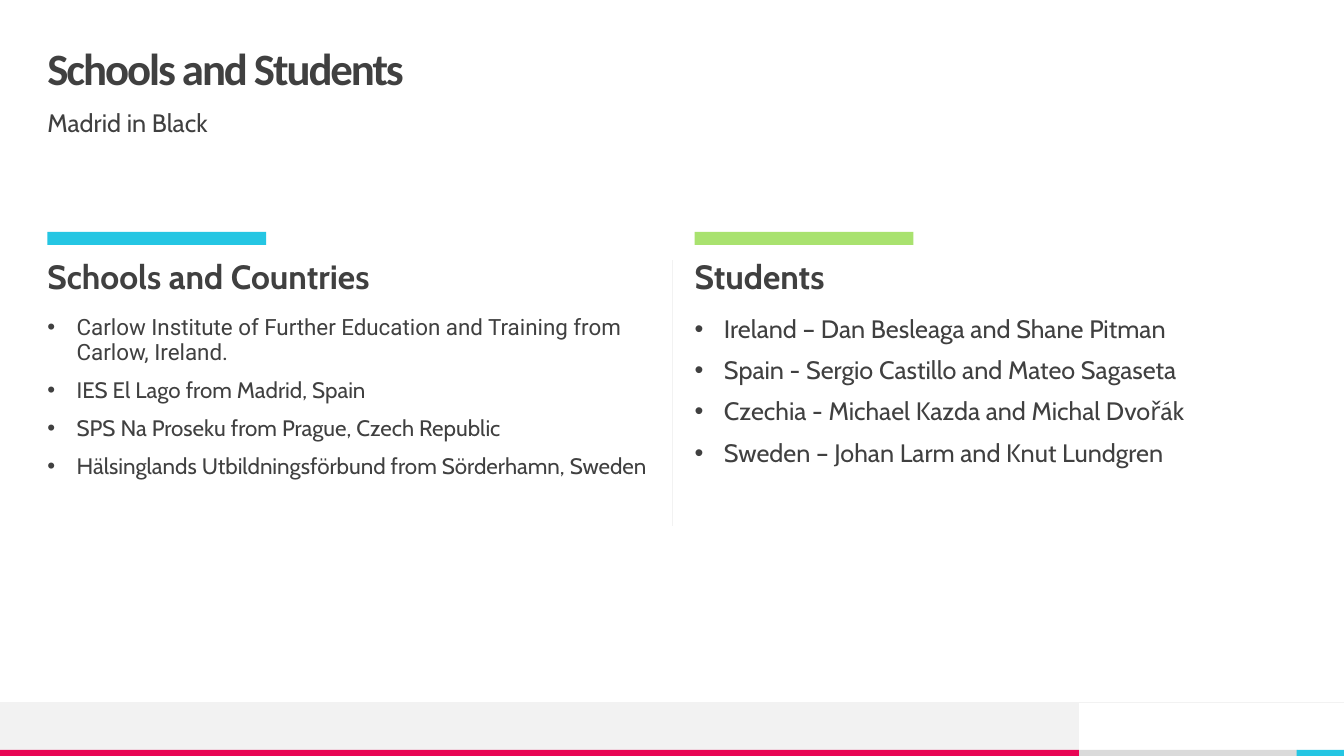
import pptx
import pptx.util
import pptx.dml.color
import pptx.enum.shapes
import pptx.enum.text
import pptx.oxml.ns
from lxml import etree

Inches = pptx.util.Inches
Pt = pptx.util.Pt
RGBColor = pptx.dml.color.RGBColor
qn = pptx.oxml.ns.qn

TEXT = RGBColor(0x40, 0x40, 0x40)
PALE = RGBColor(0xF2, 0xF2, 0xF2)
GREY = RGBColor(0xDA, 0xDA, 0xDA)
PINK = RGBColor(0xE8, 0x05, 0x54)
CYAN = RGBColor(0x25, 0xC6, 0xE3)
GREEN = RGBColor(0xA9, 0xE2, 0x6F)

TITLE = "Schools and Students"
SUBTITLE = "Madrid in Black"
COLUMNS = [
    {
        "heading": "Schools and Countries",
        "color": CYAN,
        "size": 16,
        "items": [
            ("Carlow Institute of Further Education and Training from Carlow, Ireland.", "Roboto"),
            ("IES El Lago from Madrid, Spain", "Cabin"),
            ("SPS Na Proseku from Prague, Czech Republic", "Cabin"),
            ("Hälsinglands Utbildningsförbund from Sörderhamn, Sweden", "Cabin"),
        ],
    },
    {
        "heading": "Students",
        "color": GREEN,
        "size": 18,
        "items": [
            ("Ireland – Dan Besleaga and Shane Pitman", "Cabin"),
            ("Spain - Sergio Castillo and Mateo Sagaseta", "Cabin"),
            ("Czechia - Michael Kazda and Michal Dvořák", "Cabin"),
            ("Sweden – Johan Larm and Knut Lundgren", "Cabin"),
        ],
    },
]

WIDTH, HEIGHT = 13.33, 7.5
MARGIN = 0.47
CONTENT_WIDTH = 12.4
COLUMN_WIDTH = 5.98
COLUMN_STEP = 6.42
FOOTER_TOP, STRIPE_TOP = 6.97, 7.44
FOOTER_BLOCKS = [
    (10.7, 2.17, STRIPE_TOP, HEIGHT, GREY),
    (0, 10.7, FOOTER_TOP, STRIPE_TOP, PALE),
    (0, 10.7, STRIPE_TOP, HEIGHT, PINK),
    (12.86, 0.47, STRIPE_TOP, HEIGHT, CYAN),
]


def add_block(slide, left, top, width, height, color):
    """Add a plain filled rectangle."""
    block = slide.shapes.add_shape(
        pptx.enum.shapes.MSO_SHAPE.RECTANGLE,
        Inches(left), Inches(top), Inches(width), Inches(height))
    block.shadow.inherit = False
    block.fill.solid()
    block.fill.fore_color.rgb = color
    block.line.fill.background()


def add_rule(slide, start, end):
    """Add a thin pale line between two points."""
    rule = slide.shapes.add_connector(
        pptx.enum.shapes.MSO_CONNECTOR.STRAIGHT,
        *(Inches(value) for value in start + end))
    rule.line.color.rgb = PALE
    rule.line.width = Pt(0.5)
    etree.SubElement(rule.element.spPr, qn("a:effectLst"))


def fill_box(box, area, lines, size, bold=False, before=10, bullets=False):
    """Place a text box and write its formatted lines."""
    box.left, box.top, box.width, box.height = (Inches(value) for value in area)
    frame = box.text_frame
    frame.text = "\n".join(text for text, font in lines)
    frame.word_wrap = True
    frame.auto_size = pptx.enum.text.MSO_AUTO_SIZE.NONE
    frame.vertical_anchor = pptx.enum.text.MSO_ANCHOR.TOP
    frame.margin_left = frame.margin_top = frame.margin_right = frame.margin_bottom = 0
    for para, (text, font) in zip(frame.paragraphs, lines):
        para.alignment = pptx.enum.text.PP_ALIGN.LEFT
        para.line_spacing = 0.9
        para.space_before = Pt(before)
        if bullets:
            properties = para._p.get_or_add_pPr()
            properties.set("marL", str(Inches(0.29)))
            properties.set("indent", str(-Inches(0.29)))
            etree.SubElement(properties, qn("a:buFont")).set("typeface", "Arial")
            etree.SubElement(properties, qn("a:buChar")).set("char", "•")
        for span in para.runs:
            span.font.name = font
            span.font.size = Pt(size)
            span.font.bold = bold
            span.font.color.rgb = TEXT


def main():
    """Build the slide and save it."""
    deck = pptx.Presentation()
    deck.slide_width, deck.slide_height = Inches(WIDTH), Inches(HEIGHT)
    page = deck.slides.add_slide(deck.slide_layouts.get_by_name("Comparison"))
    holders = page.placeholders

    for left, width, top, bottom, color in FOOTER_BLOCKS:
        add_block(page, left, top, width, bottom - top, color)
    add_rule(page, (WIDTH, FOOTER_TOP), (0, FOOTER_TOP))

    title = page.shapes.title
    fill_box(title, (MARGIN, 0.47, CONTENT_WIDTH, 0.47), [(TITLE, "Calibri")], 32, True, 0)
    title.text_frame.vertical_anchor = pptx.enum.text.MSO_ANCHOR.MIDDLE
    title.text_frame.paragraphs[0].runs[0].font._element.set("spc", "-150")

    subtitle = page.shapes.add_textbox(0, 0, 0, 0)
    fill_box(subtitle, (MARGIN, 1.1, CONTENT_WIDTH, 0.39), [(SUBTITLE, "Cabin")], 18)

    for index, column in enumerate(COLUMNS):
        left = MARGIN + index * COLUMN_STEP
        add_block(page, left, 2.3, 2.17, 0.13, column["color"])
        fill_box(holders[1 + 2 * index], (left, 2.58, COLUMN_WIDTH, 0.39),
                 [(column["heading"], "Cabin")], 24, True)
        fill_box(holders[2 + 2 * index], (left, 3.14, COLUMN_WIDTH, 3.69),
                 column["items"], column["size"], bullets=True)
    add_rule(page, (6.67, 2.58), (6.67, 5.22))

    deck.save("out.pptx")


if __name__ == "__main__":
    main()
